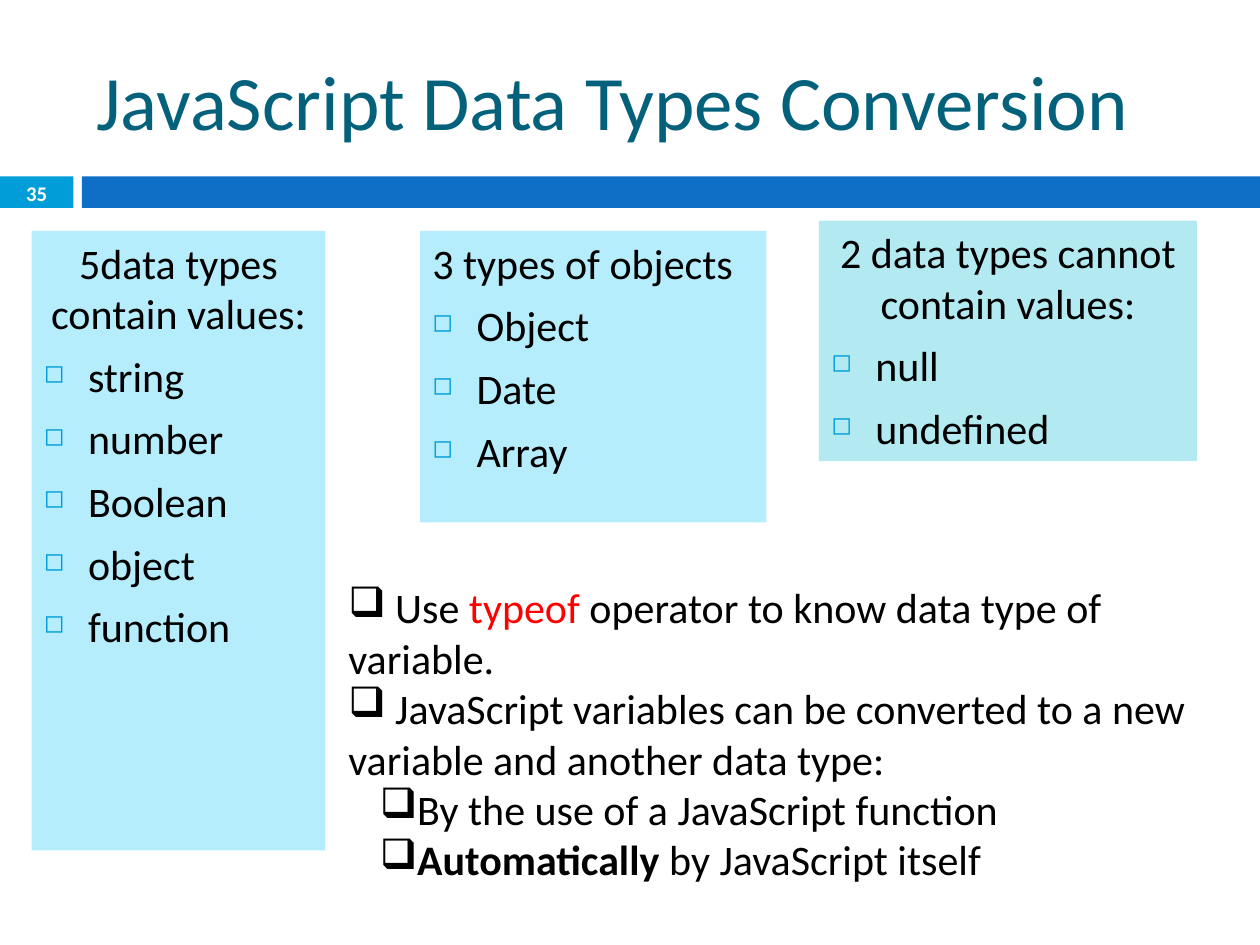
"""Build the slide on JavaScript data types and their conversion."""
from lxml import etree
from pptx import Presentation
from pptx.dml.color import RGBColor
from pptx.enum.shapes import MSO_SHAPE
from pptx.enum.text import MSO_ANCHOR, PP_ALIGN
from pptx.oxml.ns import qn
from pptx.util import Pt

RECT = MSO_SHAPE.RECTANGLE
TOP, MIDDLE = MSO_ANCHOR.TOP, MSO_ANCHOR.MIDDLE
LEFT, CENTER = PP_ALIGN.LEFT, PP_ALIGN.CENTER

THEME = {
    "font": "Calibri",
    "title": "04617B", "accent": "009DD9", "bar": "0F6FC6",
    "panel": "B5EDFD", "panel_alt": "B3EAF2",
    "text": "000000", "keyword": "FF0000", "white": "FFFFFF",
    "title_size": 44, "body_size": 24, "number_size": 11.9,
}


def add_box(at, fill=None, anchor=TOP, margin_y=3.6):
    at = [Pt(v) for v in at]
    if fill:
        sp = s.shapes.add_shape(RECT, *at)
        sp.shadow.inherit = False
        sp.fill.solid()
        sp.fill.fore_color.rgb = RGBColor.from_string(THEME[fill])
        sp.line.fill.background()
    else:
        sp = s.shapes.add_textbox(*at)
    tf = sp.text_frame
    frame = {"word_wrap": True, "vertical_anchor": anchor,
             "margin_top": Pt(margin_y), "margin_bottom": Pt(margin_y)}
    for name, value in frame.items():
        setattr(tf, name, value)
    return tf


def add_par(tf, runs, size="body_size", align=LEFT, before=0,
            bullet=None, indent=(0, 0), small=False):
    p = tf.paragraphs[0] if not tf.paragraphs[0].runs else tf.add_paragraph()
    p.alignment = align
    p.space_before = Pt(before)
    if bullet:
        pPr = p._p.get_or_add_pPr()
        pPr.set("marL", str(Pt(indent[0])))
        pPr.set("indent", str(Pt(indent[1])))
        if small:
            clr = etree.SubElement(pPr, qn("a:buClr"))
            etree.SubElement(clr, qn("a:srgbClr"), val=THEME["accent"])
            etree.SubElement(pPr, qn("a:buSzPct"), val="60000")
        etree.SubElement(pPr, qn("a:buChar"), char=bullet)
    for text, color, bold in runs:
        r = p.add_run()
        r.text = text
        font = {"name": THEME["font"], "size": Pt(THEME[size]), "bold": bold}
        for name, value in font.items():
            setattr(r.font, name, value)
        r.font.color.rgb = RGBColor.from_string(THEME[color])


prs = Presentation()
prs.slide_width, prs.slide_height = Pt(720), Pt(540)
s = prs.slides.add_slide(prs.slide_layouts[6])

add_box((0, 100.8, 42, 18), "accent")
add_box((46.8, 100.8, 673.2, 18), "bar")
tf = add_box((48, 18, 642, 78), anchor=MIDDLE)
add_par(tf, [("JavaScript Data Types Conversion", "title", False)], "title_size")
tf = add_box((0, 100.8, 42, 19), anchor=MIDDLE, margin_y=0)
add_par(tf, [("35", "white", True)], "number_size", CENTER)

panels = [
    ((18, 132, 168, 354), "panel", CENTER, ["5data types", "contain values:"],
     ["string", "number", "Boolean", "object", "function"]),
    ((240, 132, 198, 166.5), "panel", LEFT, ["3 types of objects"],
     ["Object", "Date", "Array"]),
    ((468, 126, 216, 137.5), "panel_alt", CENTER,
     ["2 data types cannot contain values:"], ["null", "undefined"]),
]
for at, fill, align, heading, items in panels:
    tf = add_box(at, fill)
    for line in heading:
        add_par(tf, [(line, "text", False)], align=align)
    for item in items:
        add_par(tf, [(item, "text", False)], before=7,
                bullet="◻", indent=(25.2, -25.2), small=True)

notes = [
    ((0, 0), [(" Use ", "text", False), ("typeof ", "keyword", False),
              ("operator to know data type of variable.", "text", False)]),
    ((0, 0), [(" JavaScript variables can be converted to a new variable "
               "and another data type:", "text", False)]),
    ((36, -18), [("By the use of a JavaScript function", "text", False)]),
    ((36, -18), [("Automatically", "text", True),
                 (" by JavaScript itself", "text", False)]),
]
tf = add_box((192, 329, 504, 211))
for indent, runs in notes:
    add_par(tf, runs, bullet="❑", indent=indent)

prs.save("out.pptx")
